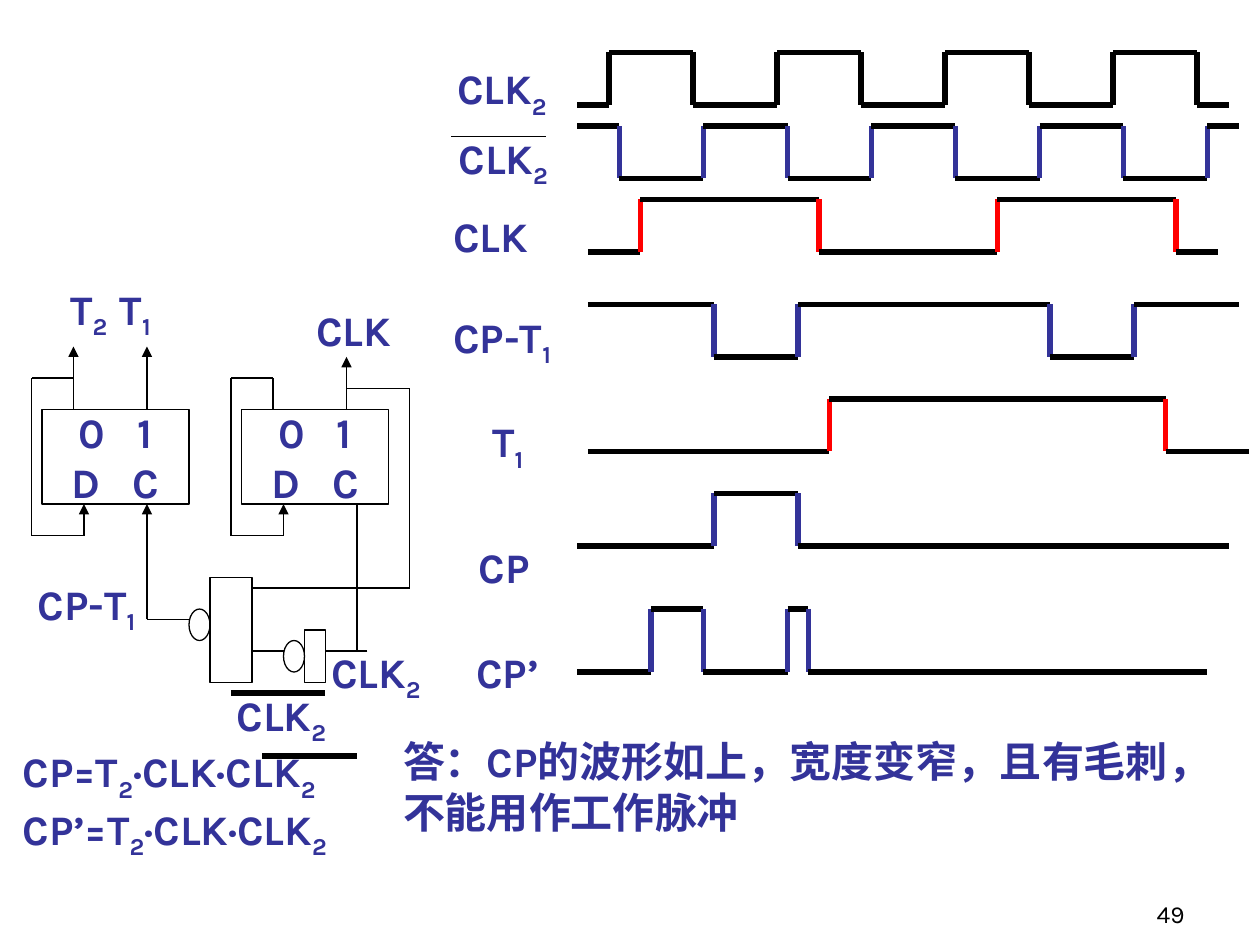
from itertools import pairwise

from pptx import Presentation
from pptx.dml.color import RGBColor
from pptx.enum.shapes import MSO_CONNECTOR, MSO_SHAPE
from pptx.enum.text import MSO_ANCHOR, MSO_AUTO_SIZE, PP_ALIGN
from pptx.oxml.ns import qn
from pptx.util import Inches, Pt
from lxml import etree

STRAIGHT = MSO_CONNECTOR.STRAIGHT
RECTANGLE, OVAL = MSO_SHAPE.RECTANGLE, MSO_SHAPE.OVAL
LEFT, CENTER, RIGHT = PP_ALIGN.LEFT, PP_ALIGN.CENTER, PP_ALIGN.RIGHT
MIDDLE, BOTTOM = MSO_ANCHOR.MIDDLE, MSO_ANCHOR.BOTTOM
GROW = MSO_AUTO_SIZE.SHAPE_TO_FIT_TEXT

FONT = "Karla"
BLACK, BLUE, RED = "000000", "333399", "FF0000"
THIN, THICK = 0.75, 3

LABELS = [
    ("T_2  _T_1", 0.46, 2.2, 0.91, 0.56),
    ("CLK", 2.41, 2.37, 0.82, 0.5),
    ("CLK_2", 2.53, 5.08, 0.93, 0.56),
    ("CLK_2", 1.78, 5.42, 0.93, 0.56),
    ("CP-T_1", 0.2, 4.54, 1.03, 0.56),
    ("CLK_2", 3.53, 0.45, 0.93, 0.56),
    ("CLK_2", 3.54, 1, 0.93, 0.56),
    ("CLK", 3.5, 1.62, 0.82, 0.5),
    ("CP-T_1", 3.5, 2.42, 1.03, 0.56),
    ("T_1", 3.81, 3.25, 0.5, 0.56),
    ("CP", 3.7, 4.25, 0.62, 0.5),
    ("CP’", 3.68, 5.08, 0.72, 0.5),
]

WAVES = [
    (55, 117, 10, 5, range(58, 115, 8), BLACK),
    (55, 118, 12, 17, range(59, 116, 8), BLUE),
    (56, 116, 24, 19, range(61, 113, 17), RED),
    (56, 118, 29, 34, (68, 76, 100, 108), BLUE),
    (56, 119, 43, 38, (79, 111), RED),
    (55, 117, 52, 47, (68, 76), BLUE),
    (55, 115, 64, 58, (62, 67, 75, 77), BLUE),
]


def colour(value):
    """Turn a hex string into a colour."""
    return RGBColor.from_string(value)


def grid(*units):
    """Turn grid units of a twelfth of an inch into lengths."""
    return [Inches(unit / 12) for unit in units]


def add_wire(page, points, width=THIN, tone=BLACK, arrow=False):
    """Join grid points by straight lines, with an optional arrowhead at the end."""
    for start, end in pairwise(points):
        wire = page.shapes.add_connector(STRAIGHT, *grid(*start, *end))
        wire.line.width = Pt(width)
        wire.line.color.rgb = colour(tone)
        properties = wire.element.spPr
        if arrow and end == points[-1]:
            etree.SubElement(properties.find(qn("a:ln")), qn("a:tailEnd"), type="triangle")
        etree.SubElement(properties, qn("a:effectLst"))


def write_lines(frame, lines, align=LEFT, size=24, tone=BLUE, bold=True):
    """Write paragraphs in which underscores switch subscript on and off."""
    for index, line in enumerate(lines):
        para = frame.paragraphs[0] if index == 0 else frame.add_paragraph()
        para.alignment = align
        for order, piece in enumerate(line.split("_")):
            span = para.add_run()
            span.text = piece
            span.font.name = FONT
            span.font.size = Pt(size)
            span.font.bold = bold
            span.font.color.rgb = colour(tone)
            if order % 2:
                span.font._element.set("baseline", "-25000")


def add_text(page, lines, left, top, width, height, wrap=False):
    """Place a text box that fits its text."""
    box = page.shapes.add_textbox(Inches(left), Inches(top), Inches(width), Inches(height))
    box.text_frame.word_wrap = wrap
    box.text_frame.auto_size = GROW
    write_lines(box.text_frame, lines)


def add_outline(page, kind, *units):
    """Place an unfilled shape on the grid."""
    shape = page.shapes.add_shape(kind, *grid(*units))
    shape.shadow.inherit = False
    shape.fill.background()
    shape.line.color.rgb = colour(BLACK)
    shape.line.width = Pt(THIN)
    return shape


def add_flip_flop(page, left, top, width, height):
    """Draw a flip-flop with its feedback wire from output 0 to input D."""
    frame = add_outline(page, RECTANGLE, left, top, width, height).text_frame
    frame.word_wrap = False
    frame.vertical_anchor = MIDDLE
    write_lines(frame, ["0   1", "D   C"], CENTER)
    bottom = top + height
    add_wire(page, [(left + 3, top - 3), (left - 1, top - 3), (left - 1, bottom + 3),
                    (left + 4, bottom + 3), (left + 4, bottom)], arrow=True)


def add_circuit(page):
    """Draw the two flip-flops, the gates and the wires between them."""
    for left in (4, 23):
        add_flip_flop(page, left, 39, 14, 9)
    add_outline(page, RECTANGLE, 20, 55, 4, 10)
    add_outline(page, OVAL, 18, 58, 2, 3)
    add_outline(page, OVAL, 27, 61, 2, 3)
    add_outline(page, RECTANGLE, 29, 60, 2, 5)
    for points in (
        [(7, 39), (7, 33)],
        [(14, 39), (14, 33)],
        [(33, 39), (33, 34)],
        [(18, 59), (14, 59), (14, 48)],
    ):
        add_wire(page, points, arrow=True)
    for points in (
        [(26, 36), (26, 39)],
        [(33, 37), (39, 37), (39, 56), (24, 56)],
        [(35, 62), (31, 62)],
        [(34, 62), (34, 48)],
        [(27, 62), (24, 62)],
    ):
        add_wire(page, points)


def add_wave(page, start, end, level, other, edges, tone):
    """Draw one square wave, in grid units, that changes level at each edge."""
    for edge in edges:
        add_wire(page, [(start, level), (edge, level)], THICK)
        add_wire(page, [(edge, level), (edge, other)], THICK, tone)
        start, level, other = edge, other, level
    add_wire(page, [(start, level), (end, level)], THICK)


def add_page_number(page, left, top, width, height):
    """Place the page number at the lower right."""
    box = page.shapes.add_textbox(Inches(left), Inches(top), Inches(width), Inches(height))
    box.text_frame.word_wrap = True
    box.text_frame.vertical_anchor = BOTTOM
    write_lines(box.text_frame, ["49"], RIGHT, 14, BLACK, False)


def main():
    """Build the slide and save it."""
    deck = Presentation()
    deck.slide_width, deck.slide_height = Inches(10), Inches(7.5)
    page = deck.slides.add_slide(deck.slide_layouts[6])
    add_circuit(page)
    for wave in WAVES:
        add_wave(page, *wave)
    for text, *place in LABELS:
        add_text(page, [text], *place)
    for left, top, width in ((22, 66, THICK), (25, 72, THICK), (43, 13, THIN)):
        add_wire(page, [(left, top), (left + 9, top)], width)
    add_text(page, ["CP=T_2_·CLK·CLK_2", "CP’=T_2_·CLK·CLK_2"], 0.08, 5.87, 3.17, 1.01, True)
    add_text(page, ["答：CP的波形如上，宽度变窄，且有毛刺，", "不能用作工作脉冲"], 3.1, 5.79, 6.78, 0.9)
    add_page_number(page, 7.42, 6.92, 2.08, 0.5)
    deck.save("out.pptx")


if __name__ == "__main__":
    main()
